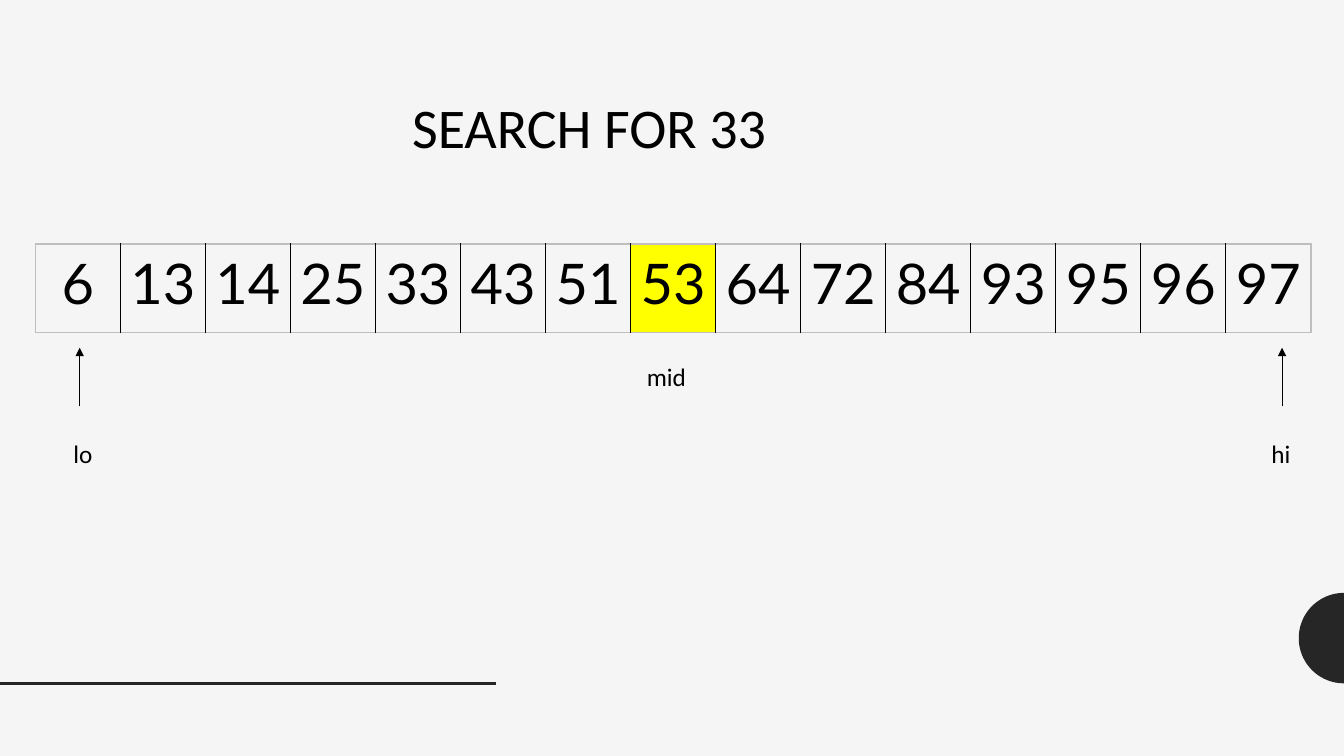
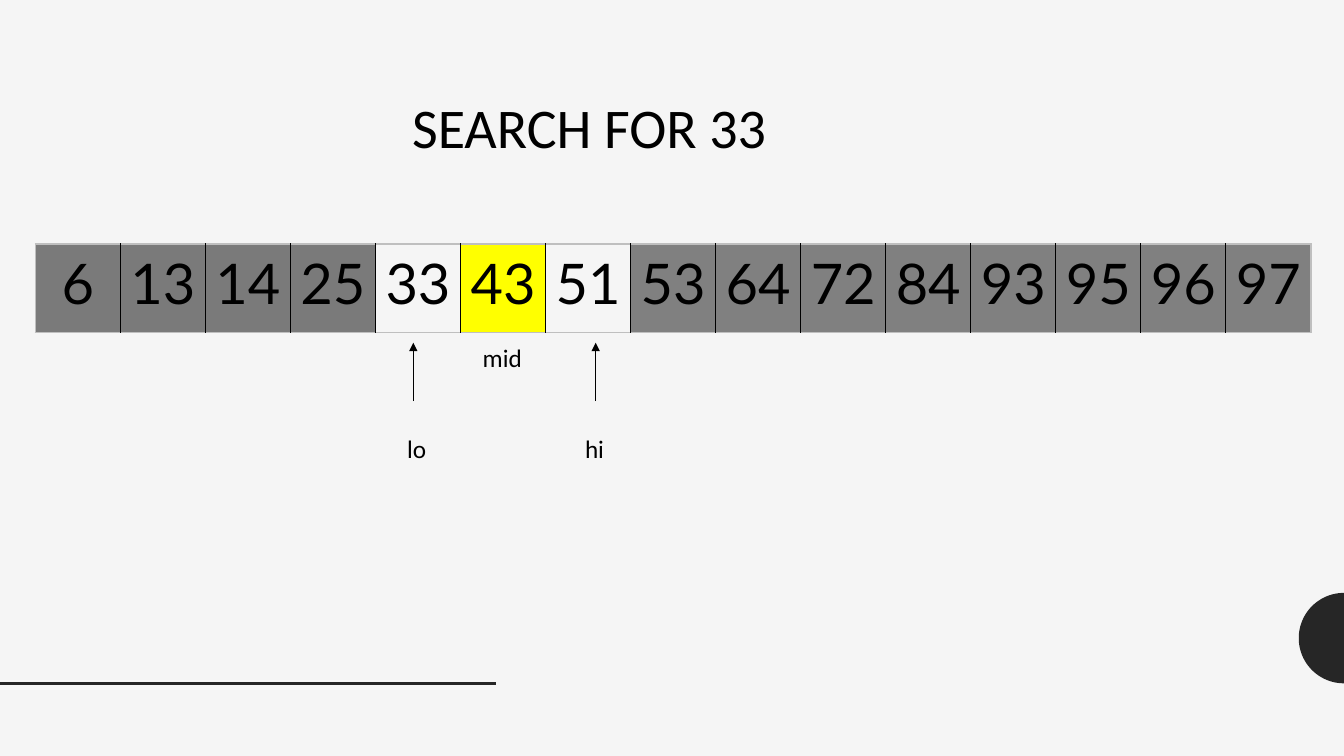
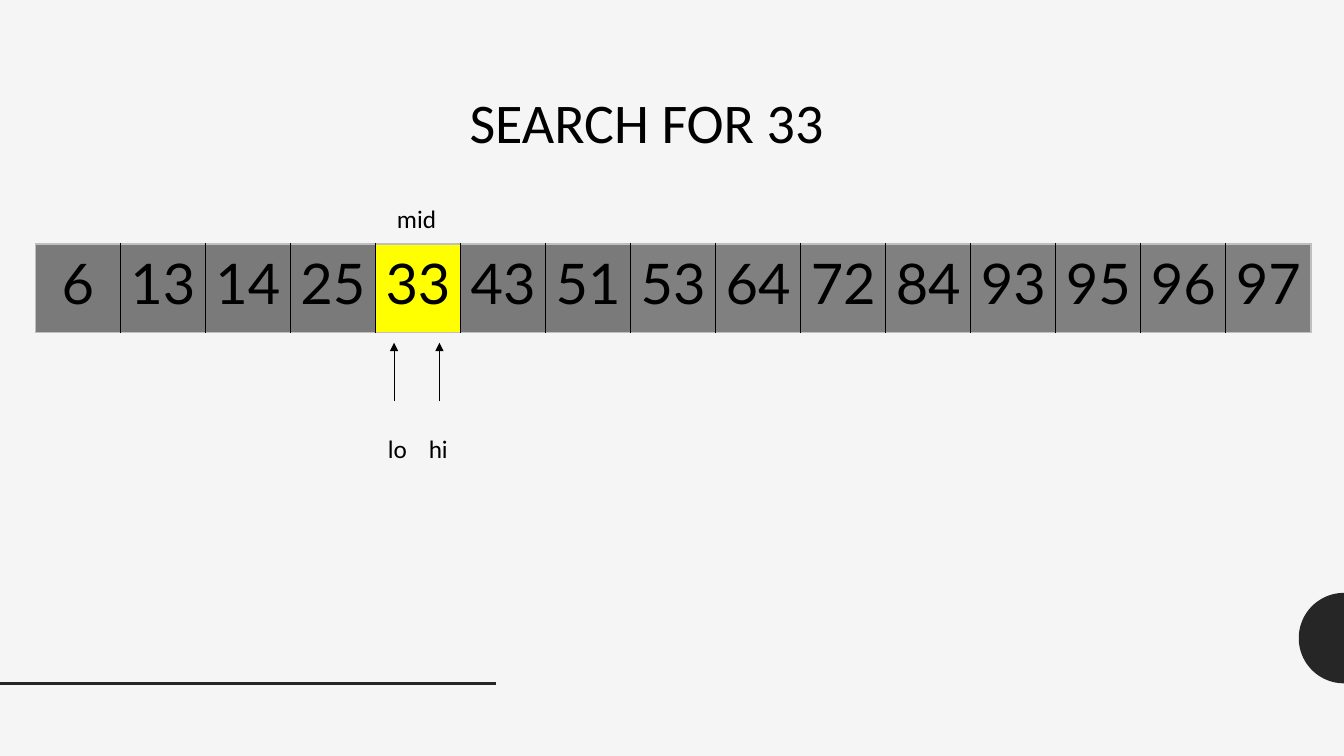
from dataclasses import dataclass
from math import cos, pi, sin

from lxml import etree
from pptx import Presentation
from pptx.dml.color import RGBColor
from pptx.enum.shapes import MSO_CONNECTOR
from pptx.enum.text import MSO_ANCHOR, PP_ALIGN
from pptx.oxml.ns import qn
from pptx.util import Pt

STRAIGHT = MSO_CONNECTOR.STRAIGHT
TOP = MSO_ANCHOR.TOP
LEFT, CENTER = PP_ALIGN.LEFT, PP_ALIGN.CENTER


@dataclass(frozen=True)
class Theme:
    """Colours, fonts and type sizes of the deck."""
    background: str = "F5F5F5"
    accent: str = "262626"
    ink: str = "000000"
    frame: str = "BFBFBF"
    middle: str = "FFFF00"
    ruled_out_left: str = "7A7A7A"
    ruled_out_right: str = "808080"
    text_font: str = "Calibri"
    value_font: str = "Lato"
    large: int = 40
    small: int = 18


theme = Theme()


def write_text(frame, text, size=theme.small, font=theme.text_font,
               color=theme.ink, align=LEFT):
    """Write one formatted paragraph into a text frame."""
    frame.word_wrap = True
    frame.vertical_anchor = TOP
    frame.margin_right = 0 if align == LEFT else Pt(7.2)
    paragraph = frame.paragraphs[0]
    paragraph.alignment = align
    run = paragraph.add_run()
    run.text = text
    run.font.size = Pt(size)
    run.font.name = font
    run.font.color.rgb = RGBColor.from_string(color)


def add_line(shapes, start, end, color, width, arrow=False):
    """Draw a straight line, with an arrowhead at its end if asked."""
    connector = shapes.add_connector(STRAIGHT, *map(Pt, start + end))
    connector.line.color.rgb = RGBColor.from_string(color)
    connector.line.width = Pt(width)
    properties = connector._element.spPr
    if arrow:
        outline = properties.find(qn("a:ln"))
        etree.SubElement(outline, qn("a:tailEnd"), type="triangle")
    etree.SubElement(properties, qn("a:effectLst"))


VALUES = [6, 13, 14, 25, 33, 43, 51, 53, 64, 72, 84, 93, 95, 96, 97]
CENTRE_COLUMN = len(VALUES) // 2
TABLE_LEFT, TABLE_TOP, TABLE_WIDTH, TABLE_HEIGHT = 25.2, 174.24, 911.52, 63.36
LABEL_HEIGHT = 28.8
LABEL_OFFSET = {"lo": 11.5, "hi": 14.7}

# Indexes of the live range, then the places of arrows, mid label and title
steps = [
    {"low": 0, "high": 14, "arrows": {"lo": 56.9, "hi": 915.8},
     "tip": 248.4, "mid": (455, 254.2), "title": (287.3, 62.6)},
    {"low": 4, "high": 6, "arrows": {"lo": 295.2, "hi": 425.5},
     "tip": 244.8, "mid": (337.7, 241.2), "title": (287.3, 62.6)},
    {"low": 4, "high": 4, "arrows": {"lo": 281.5, "hi": 313.9},
     "tip": 244.8, "mid": (276.5, 141.8), "title": (328.3, 59)},
]

presentation = Presentation()
presentation.slide_width, presentation.slide_height = Pt(960), Pt(540)
master_fill = presentation.slide_master.background.fill
master_fill.solid()
master_fill.fore_color.rgb = RGBColor.from_string(theme.background)
blank_layout = presentation.slide_layouts[6]

# Left half of a circle centred on the right slide edge
radius = 32.3
half_circle = [(Pt(960 - radius * sin(pi * i / 48)),
                Pt(455.8 - radius * cos(pi * i / 48))) for i in range(49)]

for step in steps:
    slide = presentation.slides.add_slide(blank_layout)
    shapes = slide.shapes

    builder = shapes.build_freeform(*half_circle[0])
    builder.add_line_segments(half_circle[1:], close=True)
    edge_disc = builder.convert_to_shape()
    edge_disc.shadow.inherit = False
    edge_disc.fill.solid()
    edge_disc.fill.fore_color.rgb = RGBColor.from_string(theme.accent)
    edge_disc.line.fill.background()
    add_line(shapes, (0, 488.2), (354.2, 488.2), theme.accent, 2)

    table = shapes.add_table(1, len(VALUES), Pt(TABLE_LEFT), Pt(TABLE_TOP),
                             Pt(TABLE_WIDTH), Pt(TABLE_HEIGHT)).table
    table.first_row = table.horz_banding = False
    middle = (step["low"] + step["high"]) // 2
    for column, value in enumerate(VALUES):
        table.columns[column].width = Pt(TABLE_WIDTH / len(VALUES))
        cell = table.cell(0, column)
        write_text(cell.text_frame, str(value), size=theme.large,
                   font=theme.value_font, align=CENTER)

        cell_properties = cell._tc.get_or_add_tcPr()
        borders = {
            "a:lnL": theme.ink if column else theme.frame,
            "a:lnR": theme.ink if column < len(VALUES) - 1 else theme.frame,
            "a:lnT": theme.frame,
            "a:lnB": theme.frame,
        }
        for side, color in borders.items():
            border = etree.SubElement(cell_properties, qn(side),
                                      w=str(Pt(1)))
            border_fill = etree.SubElement(border, qn("a:solidFill"))
            etree.SubElement(border_fill, qn("a:srgbClr"), val=color)

        if column == middle:
            cell_color = theme.middle
        elif step["low"] <= column <= step["high"]:
            cell.fill.background()
            continue
        elif column < CENTRE_COLUMN:
            cell_color = theme.ruled_out_left
        else:
            cell_color = theme.ruled_out_right
        cell.fill.solid()
        cell.fill.fore_color.rgb = RGBColor.from_string(cell_color)

    tip = step["tip"]
    for name, x in step["arrows"].items():
        marker = shapes.add_group_shape().shapes
        add_line(marker, (x, tip + 41.8), (x, tip), theme.ink, 0.5, arrow=True)
        label = marker.add_textbox(Pt(x - LABEL_OFFSET[name]), Pt(tip + 61.2),
                                   Pt(29.5), Pt(LABEL_HEIGHT))
        write_text(label.text_frame, name)

    mid_label = shapes.add_textbox(*map(Pt, step["mid"]), Pt(45.4),
                                   Pt(LABEL_HEIGHT))
    write_text(mid_label.text_frame, "mid")
    title = shapes.add_textbox(*map(Pt, step["title"]), Pt(299.5), Pt(55.4))
    write_text(title.text_frame, "SEARCH FOR 33", size=theme.large)

presentation.save("out.pptx")
